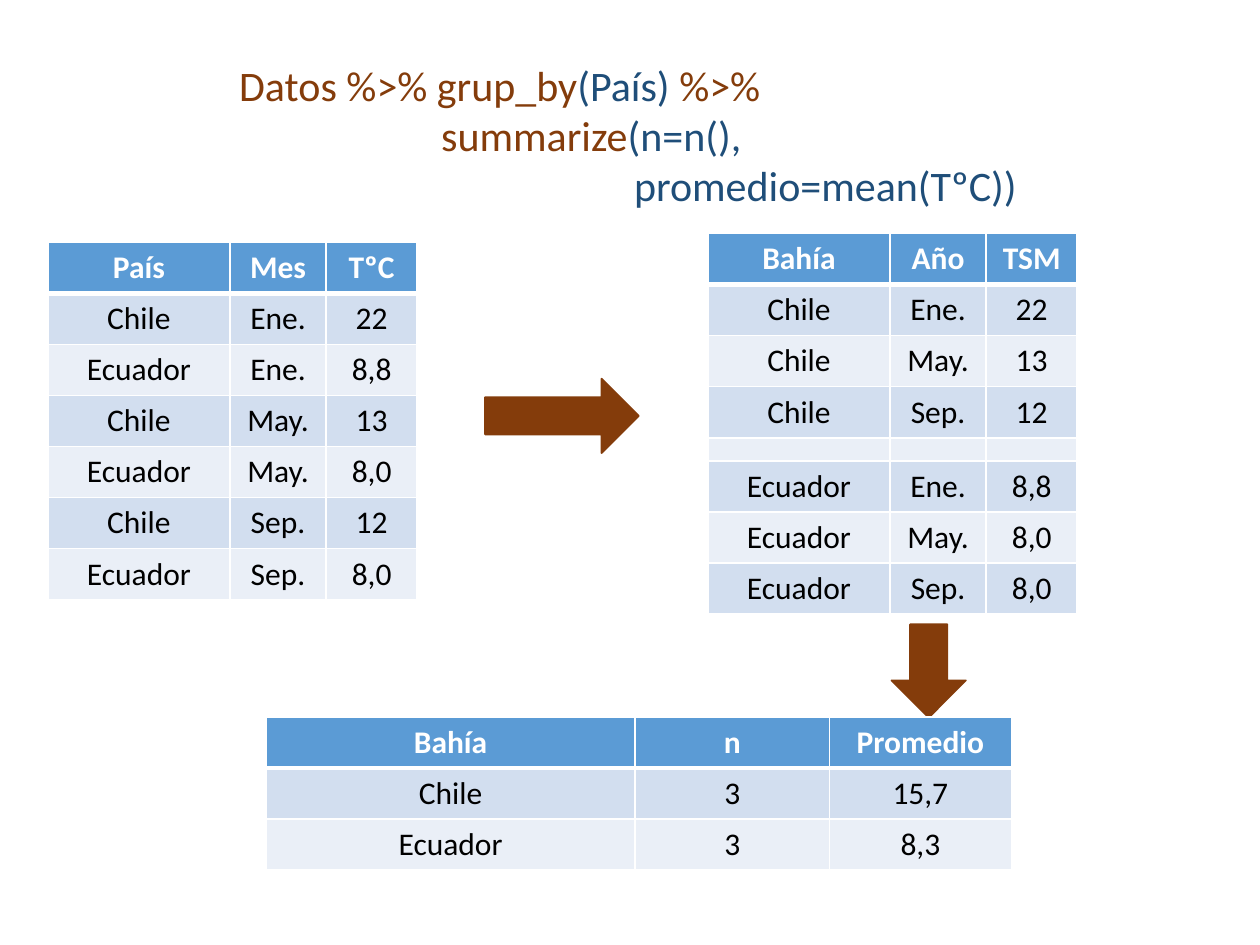
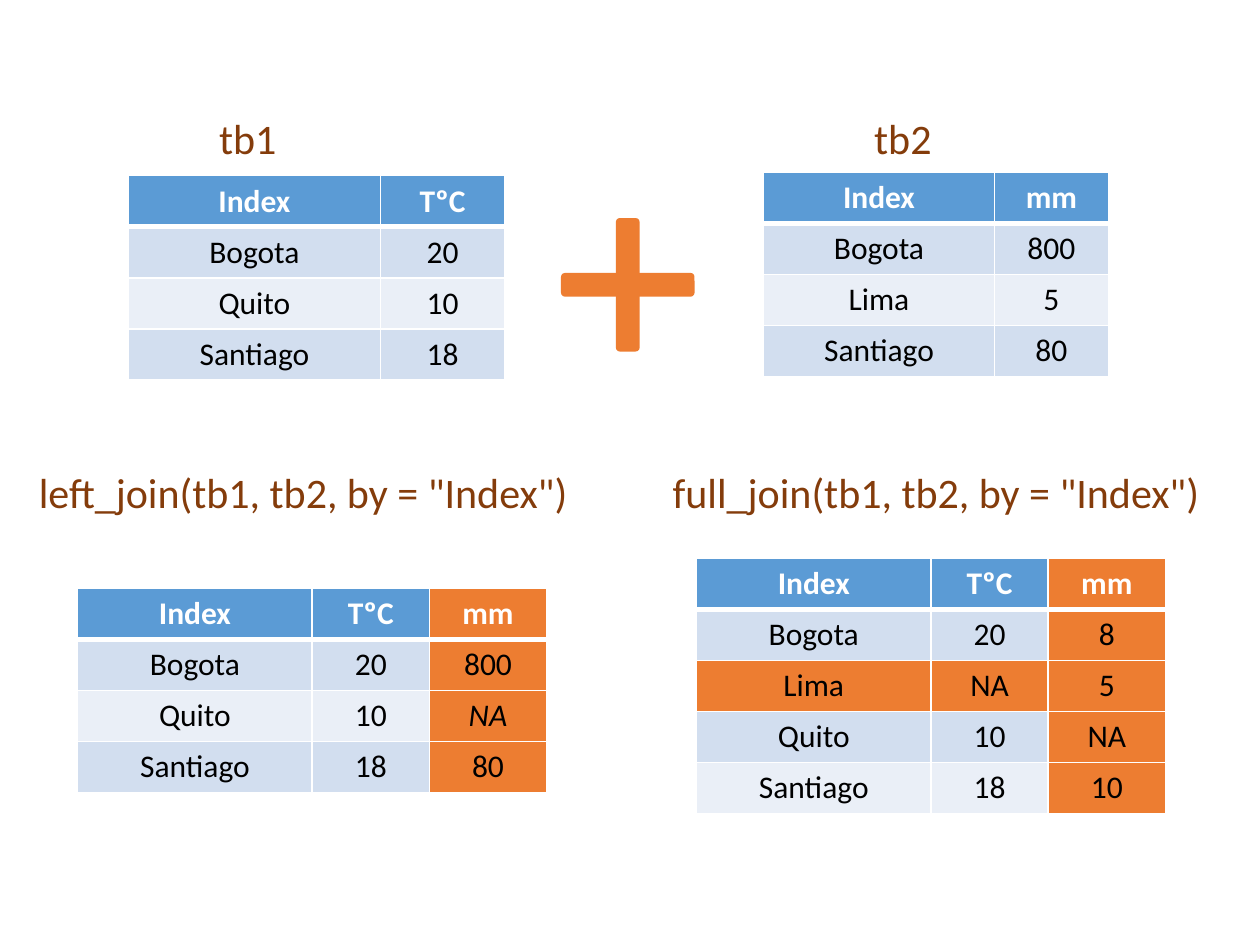
from lxml.etree import SubElement as sub
from pptx import Presentation
from pptx.dml.color import RGBColor as RGB
from pptx.enum.shapes import MSO_SHAPE as SHAPE
from pptx.enum.text import MSO_ANCHOR as ANCHOR, PP_ALIGN as ALIGN
from pptx.oxml import parse_xml
from pptx.oxml.ns import nsdecls, qn
from pptx.util import Pt

FONT = "Calibri"
WHITE = RGB(0xFF, 0xFF, 0xFF)
BLACK = RGB(0, 0, 0)
BROWN = RGB(0x84, 0x3C, 0x0B)
NAVY = RGB(0x1F, 0x4E, 0x79)
BLUE = RGB(0x5B, 0x9B, 0xD5)
BANDS = RGB(0xD2, 0xDE, 0xEF), RGB(0xEA, 0xEF, 0xF7)
ORANGE = RGB(0xED, 0x7D, 0x31)

ROW = 29.2    # height of a table row
GAP = 13.2    # height of the empty row between groups
CODE = 24     # size of code text
DATA = 18     # size of table text


def write(para, text, size, color, bold=False, italic=False):
    run = para.add_run()
    run.text = text
    font = run.font
    font.name, font.size = FONT, Pt(size)
    font.bold, font.italic = bold, italic
    font.color.rgb = color


def edge(cell, top, bottom):
    """Draw white cell borders, with the given top and bottom widths."""
    props = cell._tc.get_or_add_tcPr()
    for i, (side, width) in enumerate(zip("LRTB", (1, 1, top, bottom))):
        props.insert(i, parse_xml(
            f'<a:ln{side} {nsdecls("a")} w="{Pt(width)}"><a:solidFill>'
            f'<a:srgbClr val="{WHITE}"/></a:solidFill></a:ln{side}>'))


def grid(slide, left, top, widths, rows, accent=(), slanted=()):
    """Place a table; accent lists the (row, column) cells filled orange,
    slanted those in italics, and an empty string leaves a cell blank."""
    heights = [ROW if any(row) else GAP for row in rows]
    table = slide.shapes.add_table(
        len(rows), len(widths), Pt(left), Pt(top),
        Pt(sum(widths)), Pt(sum(heights))).table
    for col, width in zip(table.columns, widths):
        col.width = Pt(width)
    for r, row in enumerate(rows):
        table.rows[r].height = Pt(heights[r])
        for c, text in enumerate(row):
            cell = table.cell(r, c)
            cell.fill.solid()
            base = BANDS[(r - 1) % 2] if r else BLUE
            cell.fill.fore_color.rgb = ORANGE if (r, c) in accent else base
            edge(cell, 3 if r == 1 else 1, 1 if r else 3)
            cell.vertical_anchor = ANCHOR.TOP
            para = cell.text_frame.paragraphs[0]
            para.alignment = ALIGN.CENTER
            if text:
                write(para, text, DATA, BLACK if r else WHITE,
                      bold=r == 0, italic=(r, c) in slanted)
            else:
                sub(para._p, qn("a:endParaRPr"), sz="500")


def code(slide, left, top, width, height, lines):
    """Place code text; each line is an indent and its coloured runs."""
    frame = slide.shapes.add_textbox(
        Pt(left), Pt(top), Pt(width), Pt(height)).text_frame
    frame.word_wrap = False
    for i, (indent, runs) in enumerate(lines):
        para = frame.add_paragraph() if i else frame.paragraphs[0]
        if indent:
            para._p.get_or_add_pPr().set("marL", str(Pt(indent)))
        for text, color in runs:
            write(para, text, CODE, color)


def label(slide, left, top, width, text):
    code(slide, left, top, width, 36, [(0, [(text, BROWN)])])


def block(slide, kind, left, top, width, height, color, turn=0, line=0):
    shape = slide.shapes.add_shape(
        kind, Pt(left), Pt(top), Pt(width), Pt(height))
    shape.shadow.inherit = False
    shape.rotation = turn
    shape.fill.solid()
    shape.fill.fore_color.rgb = color
    if line:
        shape.line.color.rgb = color
        shape.line.width = Pt(line)
    else:
        shape.line.fill.background()


def arrow(slide, left, top, width, turn=0):
    block(slide, SHAPE.RIGHT_ARROW, left, top, width, 42.5, BROWN, turn, 1)


def plus(slide, left, top, size, thick):
    mid = left + (size - thick) / 2
    for turn in (0, 270):
        block(slide, SHAPE.ROUNDED_RECTANGLE, mid, top, thick, size,
              ORANGE, turn)


def group(slide):
    """Slide that groups rows by country and sums them up."""
    data = [("Chile", "Ene.", "22"), ("Ecuador", "Ene.", "8,8"),
            ("Chile", "May.", "13"), ("Ecuador", "May.", "8,0"),
            ("Chile", "Sep.", "12"), ("Ecuador", "Sep.", "8,0")]
    cols = 104, 55, 52
    code(slide, 129.6, 30.2, 462.2, 94.3, [
        (0, [("Datos %>% grup_by", BROWN), ("(País) ", NAVY),
             ("%>%", BROWN)]),
        (115.4, [("summarize", BROWN), ("(n=n(),", NAVY)]),
        (225.6, [("promedio=mean(TºC))", NAVY)])])
    grid(slide, 27.4, 138.4, cols, [("País", "Mes", "TºC"), *data])
    arrow(slide, 277.2, 216.4, 87.8)
    grid(slide, 404.6, 133.4, cols, [
        ("Bahía", "Año", "TSM"), *data[::2], ("", "", ""), *data[1::2]])
    arrow(slide, 504, 362.2, 53.3, 90)
    grid(slide, 152, 409.6, (211, 111, 104), [
        ("Bahía", "n", "Promedio"),
        ("Chile", "3", "15,7"), ("Ecuador", "3", "8,3")])


def join(slide):
    """Slide that joins two tables on their index."""
    label(slide, 118.1, 60.5, 47.5, "tb1")
    grid(slide, 73.4, 100.4, (144, 71), [
        ("Index", "TºC"),
        ("Bogota", "20"), ("Quito", "10"), ("Santiago", "18")])
    plus(slide, 320.6, 124.6, 76.3, 13.6)
    label(slide, 492.5, 60.5, 47.5, "tb2")
    grid(slide, 436.3, 98.4, (132, 65), [
        ("Index", "mm"),
        ("Bogota", "800"), ("Lima", "5"), ("Santiago", "80")])

    cols = 134, 67, 67
    head = "Index", "TºC", "mm"
    added = [(r, 2) for r in range(5)]
    label(slide, 15.1, 262.8, 325.4, 'left_join(tb1, tb2, by = "Index")')
    grid(slide, 44.4, 336.2, cols, [
        head, ("Bogota", "20", "800"), ("Quito", "10", "NA"),
        ("Santiago", "18", "80")], added, [(2, 2)])
    label(slide, 377.3, 262.8, 324, 'full_join(tb1, tb2, by = "Index")')
    grid(slide, 398, 319, cols, [
        head, ("Bogota", "20", "8"), ("Lima", "NA", "5"),
        ("Quito", "10", "NA"), ("Santiago", "18", "10")],
        added + [(2, 0), (2, 1)])


def main():
    deck = Presentation()
    deck.slide_width, deck.slide_height = Pt(720), Pt(540)
    for build in (group, join):
        build(deck.slides.add_slide(deck.slide_layouts[6]))
    deck.save("out.pptx")


if __name__ == "__main__":
    main()
